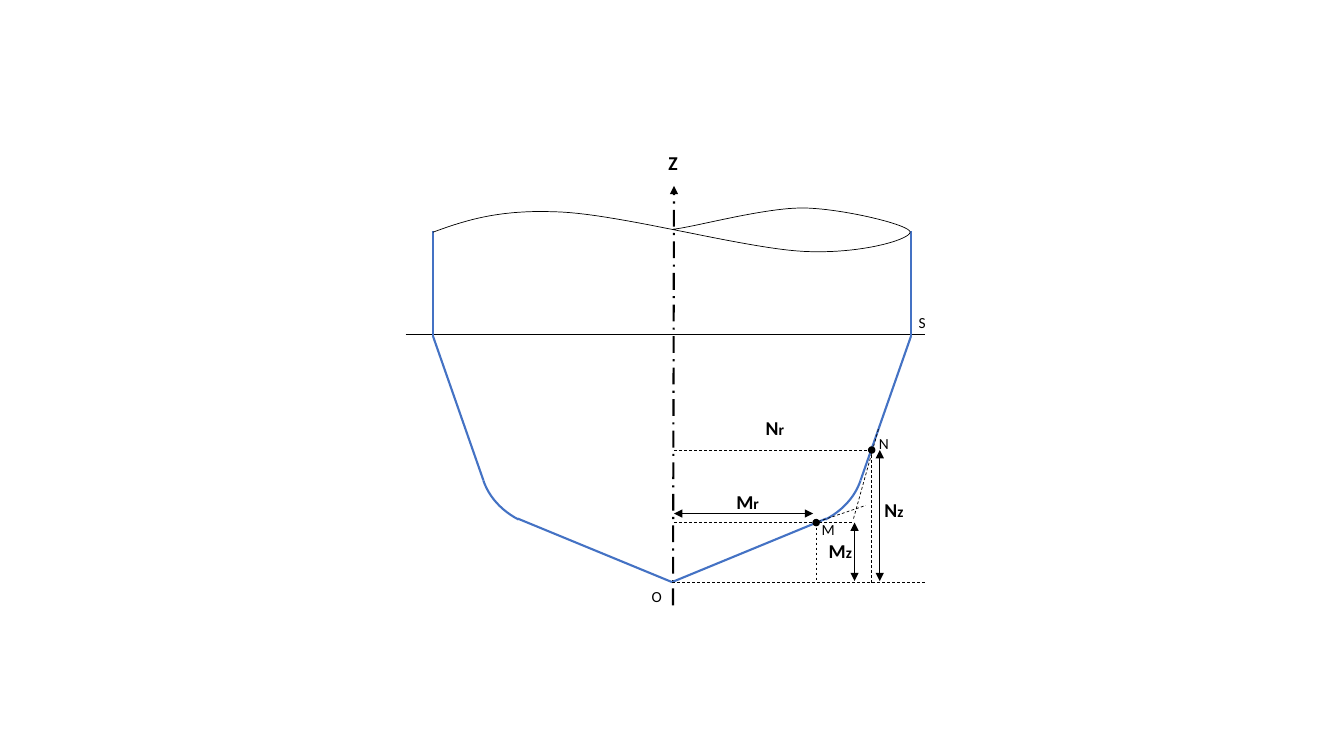
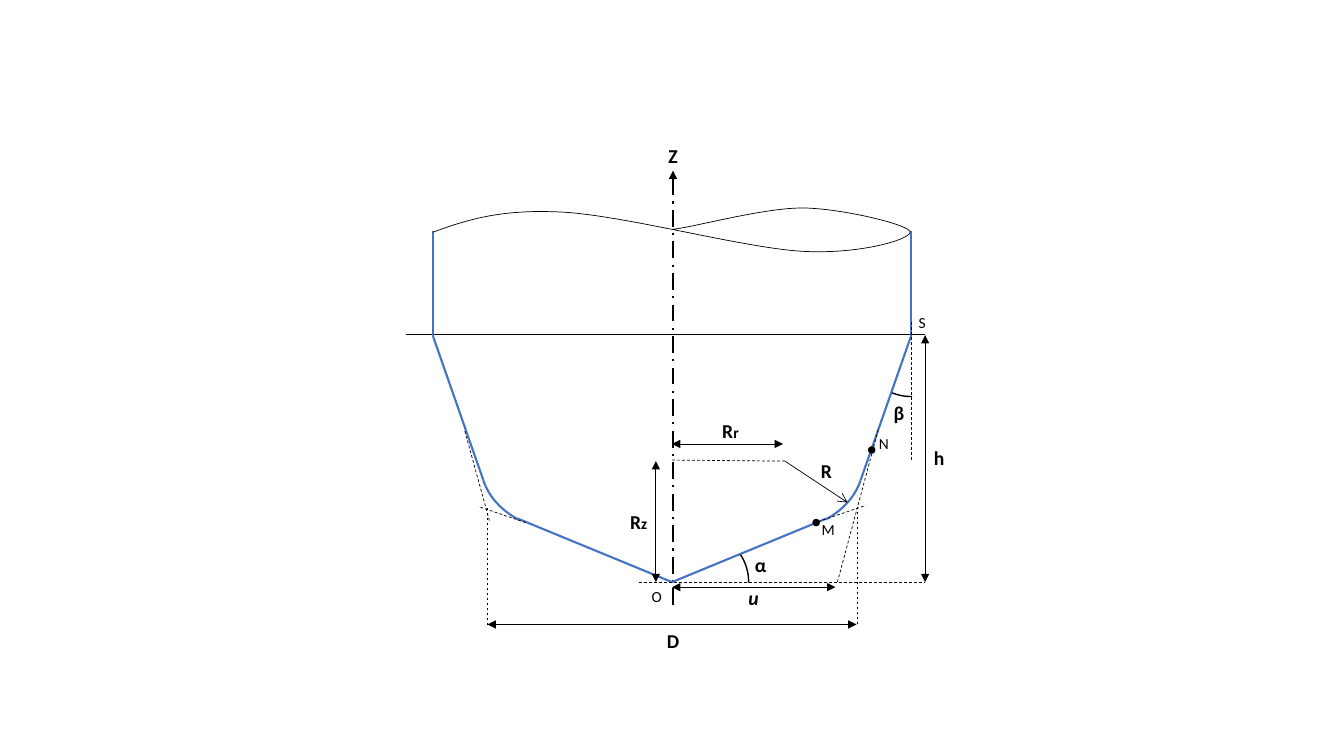
from dataclasses import dataclass
from lxml.etree import SubElement
from pptx import Presentation
from pptx.dml.color import RGBColor
from pptx.enum.dml import MSO_LINE as Dash
from pptx.enum.shapes import MSO_CONNECTOR as Connector, MSO_SHAPE as Preset
from pptx.enum.text import MSO_ANCHOR as Anchor, PP_ALIGN as Align
from pptx.oxml.ns import qn
from pptx.util import Inches, Pt

WIDTH, HEIGHT = 13.33, 7.5
FONT = "Calibri"
BLACK, BLUE = "000000", "4472C4"
THIN, MEDIUM, THICK = 0.5, 1, 1.5
COLUMNS = 5.33
CURVE_STEPS = 24
BOTH_ENDS = ("triangle", "triangle")

HULL_SIDE = [(1.87, 1.01), (2.37, 2.44), (2.37, 3.48)]
CONE_END = (1.53, 0.63)
KNUCKLE_CENTRE, KNUCKLE_RADII = (1.1, 1.19), (0.8, 0.67)
KNUCKLE_ANGLES = (13.3, 53.5)
WAVE_START = (-2.37, 3.47)
WAVE_CURVES = [
    ((-2.04, 3.59), (-1.71, 3.7), (-1.1, 3.67)),
    ((-0.48, 3.64), (0.72, 3.31), (1.3, 3.28)),
    ((1.88, 3.25), (2.36, 3.4), (2.36, 3.47)),
    ((2.37, 3.54), (1.71, 3.7), (1.32, 3.71)),
    ((0.93, 3.72), (0.18, 3.51), (0.01, 3.5)),
]


@dataclass
class Box:
    left: float
    top: float
    width: float
    height: float

    @property
    def unit(self):
        return self.width / COLUMNS

    def place(self, point):
        r, z = point
        return (Inches(self.left + self.width / 2 + r * self.unit),
                Inches(self.top + self.height - z * self.unit))

    def around(self, centre, half_width, half_height):
        x, y = self.place(centre)
        half_w = Inches(half_width * self.unit)
        half_h = Inches(half_height * self.unit)
        return x - half_w, y - half_h, 2 * half_w, 2 * half_h


def color(hex_string):
    return RGBColor.from_string(hex_string)


def style_line(shape, hex_string, weight):
    shape.line.color.rgb = color(hex_string)
    shape.line.width = Pt(weight)


def draw_line(page, box, start, end, weight=THIN, hex_string=BLACK,
              dash=None, ends=(None, None)):
    line = page.shapes.add_connector(
        Connector.STRAIGHT, *box.place(start), *box.place(end))
    style_line(line, hex_string, weight)
    if dash:
        line.line.dash_style = dash
    outline = line.line._get_or_add_ln()
    for tag, kind in zip(("a:headEnd", "a:tailEnd"), ends):
        if kind:
            SubElement(outline, qn(tag)).set("type", kind)
    SubElement(line._element.spPr, qn("a:effectLst"))


def draw_dashes(page, box, segments):
    for start, end in segments:
        draw_line(page, box, start, end, dash=Dash.DASH)


def draw_dimensions(page, box, segments, weight):
    for start, end in segments:
        draw_line(page, box, start, end, weight, ends=BOTH_ENDS)


def draw_arc(page, box, centre, radii, angles, weight=MEDIUM, hex_string=BLACK):
    arc = page.shapes.add_shape(Preset.ARC, *box.around(centre, *radii))
    arc.shadow.inherit = False
    arc.fill.background()
    style_line(arc, hex_string, weight)
    for index, angle in enumerate(angles):
        arc.adjustments[index] = angle * 0.6


def draw_dot(page, box, centre):
    dot = page.shapes.add_shape(Preset.OVAL, *box.around(centre, 0.03, 0.03))
    dot.shadow.inherit = False
    dot.fill.solid()
    dot.fill.fore_color.rgb = color(BLACK)
    style_line(dot, BLACK, MEDIUM)


def write_label(page, box, text, centre, size=14, bold=True, italic=False):
    label = page.shapes.add_textbox(*box.around(centre, 0.2, 0.17))
    frame = label.text_frame
    frame.word_wrap = False
    frame.margin_left = frame.margin_right = 0
    frame.vertical_anchor = Anchor.MIDDLE
    para = frame.paragraphs[0]
    para.alignment = Align.CENTER
    for letter, points in zip(text, (size, 11)):
        span = para.add_run()
        span.text = letter
        span.font.name = FONT
        span.font.size = Pt(points)
        span.font.bold = bold
        span.font.italic = italic
        span.font.color.rgb = color(BLACK)


def draw_wave(page, box):
    start, points = WAVE_START, []
    for curve in WAVE_CURVES:
        controls = (start, *curve)
        for step in range(1, CURVE_STEPS + 1):
            t = step / CURVE_STEPS
            weights = ((1 - t) ** 3, 3 * t * (1 - t) ** 2, 3 * t * t * (1 - t), t ** 3)
            points.append(box.place([
                sum(w * p[axis] for w, p in zip(weights, controls))
                for axis in (0, 1)]))
        start = curve[-1]
    builder = page.shapes.build_freeform(*box.place(WAVE_START))
    builder.add_line_segments(points, close=False)
    wave = builder.convert_to_shape()
    wave.shadow.inherit = False
    wave.fill.background()
    style_line(wave, BLACK, THIN)


def draw_hull_half(page, box, side):
    def mirror(point):
        return side * point[0], point[1]

    angles = KNUCKLE_ANGLES
    if side < 0:
        angles = [180 - angle for angle in reversed(angles)]
    draw_line(page, box, (0, 0), mirror(CONE_END), THICK, BLUE)
    draw_arc(page, box, mirror(KNUCKLE_CENTRE), KNUCKLE_RADII, angles, THICK, BLUE)
    for start, end in zip(HULL_SIDE, HULL_SIDE[1:]):
        draw_line(page, box, mirror(start), mirror(end), THICK, BLUE)


def draw_vessel(page, box, axis_top, axis_label):
    draw_line(page, box, (0.01, -0.23), axis_top, THICK,
              dash=Dash.LONG_DASH_DOT, ends=(None, "triangle"))
    draw_line(page, box, (-2.64, 2.46), (2.51, 2.46))
    for side in (1, -1):
        draw_hull_half(page, box, side)
    draw_wave(page, box)
    draw_dashes(page, box, [((1.45, 0.6), (1.92, 0.76))])
    for centre in ((1.43, 0.59), (1.98, 1.31)):
        draw_dot(page, box, centre)
    for text, centre in (("M", (1.55, 0.52)), ("N", (2.1, 1.38)),
                         ("O", (-0.15, -0.14)), ("S", (2.48, 2.58))):
        write_label(page, box, text, centre, 11, False)
    write_label(page, box, "Z", axis_label)


def draw_tangent_points(page, box):
    draw_vessel(page, box, (0.02, 3.93), (0.01, 4.16))
    draw_dashes(page, box, [
        ((0.02, 0.59), (1.8, 0.59)),
        ((0, 0), (2.51, 0)),
        ((1.8, 0.63), (2.05, 1.53)),
        ((0.02, 1.31), (1.95, 1.31)),
        ((1.43, 0.59), (1.43, 0)),
        ((1.98, 1.31), (1.98, -0.02)),
    ])
    draw_dimensions(page, box, [
        ((0.02, 0.68), (1.4, 0.68)),
        ((1.81, 0.59), (1.81, 0.01)),
        ((2.06, 1.31), (2.06, 0.01)),
    ], MEDIUM)
    for text, centre in (("Nz", (2.2, 0.72)), ("Mz", (1.67, 0.31)),
                         ("Mr", (0.75, 0.8)), ("Nr", (1.02, 1.53))):
        write_label(page, box, text, centre)


def draw_shape_parameters(page, box):
    draw_vessel(page, box, (0.01, 4.08), (0.01, 4.23))
    draw_dashes(page, box, [
        ((0, 1.21), (1.12, 1.2)),
        ((-0.33, 0), (2.51, 0)),
        ((2.37, 2.58), (2.37, 1.21)),
        ((1.64, 0), (2.05, 1.53)),
        ((-1.45, 0.59), (-1.92, 0.75)),
        ((-1.81, 0.61), (-2.06, 1.52)),
        ((-1.83, -0.43), (-1.83, 0.73)),
        ((1.84, -0.42), (1.84, 0.73)),
    ])
    draw_dimensions(page, box, [
        ((0, 1.37), (1.1, 1.37)),
        ((-0.16, 1.2), (-0.16, 0)),
        ((2.51, 2.45), (2.51, 0)),
        ((-1.83, -0.42), (1.83, -0.42)),
        ((0, -0.05), (1.62, -0.05)),
    ], THIN)
    draw_line(page, box, (1.12, 1.2), (1.74, 0.79), ends=(None, "arrow"))
    draw_arc(page, box, (0.26, 0), (0.5, 0.5), (327, 0.5))
    draw_arc(page, box, (2.37, 2.34), (0.5, 0.5), (88.7, 112.1))
    for text, centre in (("R", (1.53, 1.1)), ("Rr", (0.58, 1.5)),
                         ("Rz", (-0.33, 0.6)), ("α", (0.88, 0.17)),
                         ("β", (2.25, 1.68)), ("h", (2.65, 1.23)),
                         ("D", (0.01, -0.58))):
        write_label(page, box, text, centre)
    write_label(page, box, "u", (0.81, -0.15), italic=True)


def main():
    deck = Presentation()
    deck.slide_width, deck.slide_height = Inches(WIDTH), Inches(HEIGHT)
    box = Box(0.3 * WIDTH, 0.2 * HEIGHT, 0.4 * WIDTH, 0.57 * HEIGHT)
    blank = deck.slide_layouts[6]
    for draw_figure in (draw_tangent_points, draw_shape_parameters):
        draw_figure(deck.slides.add_slide(blank), box)
    deck.save("out.pptx")


if __name__ == "__main__":
    main()
